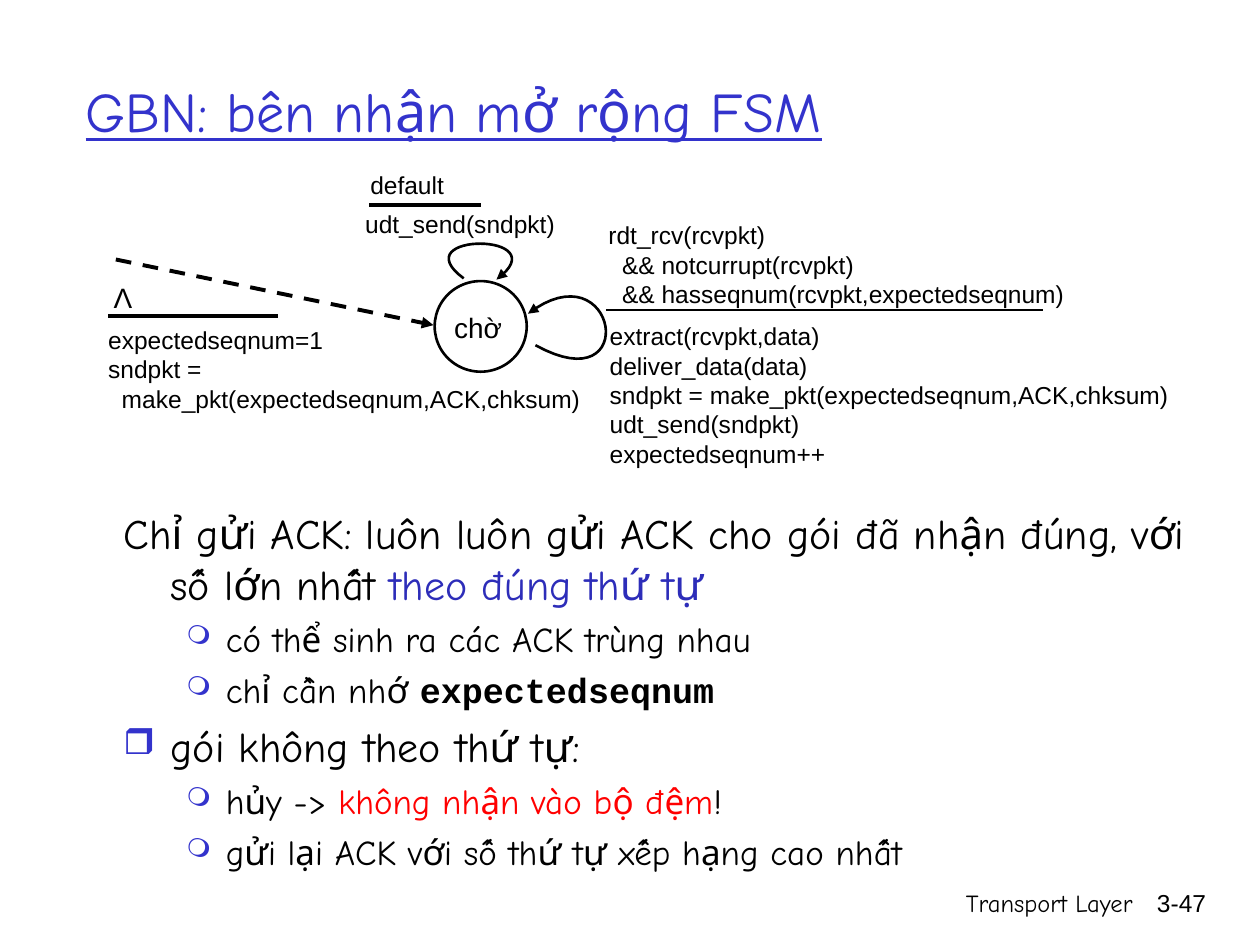
from dataclasses import dataclass

from lxml import etree
from pptx import Presentation
from pptx.dml.color import RGBColor
from pptx.enum.dml import MSO_LINE
from pptx.enum.shapes import MSO_CONNECTOR, MSO_SHAPE
from pptx.enum.text import MSO_ANCHOR, PP_ALIGN
from pptx.oxml.ns import qn
from pptx.util import Pt

LEFT, CENTER, RIGHT = PP_ALIGN.LEFT, PP_ALIGN.CENTER, PP_ALIGN.RIGHT
TOP, MIDDLE = MSO_ANCHOR.TOP, MSO_ANCHOR.MIDDLE
DASH = MSO_LINE.DASH
STRAIGHT = MSO_CONNECTOR.STRAIGHT
OVAL = MSO_SHAPE.OVAL

BLACK, WHITE, BLUE, DARK_BLUE, RED = "000000", "FFFFFF", "3333CC", "2D2DB9", "FF0000"
HAND, SANS, MONO = "Comic Neue", "Arial", "Courier New"
CURVE_STEPS = 32

Point = tuple[float, float]


@dataclass(frozen=True)
class Run:
    text: str
    size: float = 14
    font: str = SANS
    color: str = BLACK
    bold: bool = False
    underline: bool = False


@dataclass(frozen=True)
class Level:
    margin: float
    indent: float
    space_before: float
    bullet: str = ""
    bullet_percent: int = 100


@dataclass(frozen=True)
class Line:
    runs: tuple[Run, ...]
    level: Level | None = None


@dataclass(frozen=True)
class TextBlock:
    left: float
    top: float
    width: float
    height: float
    lines: tuple[Line, ...]
    align: PP_ALIGN = LEFT
    anchor: MSO_ANCHOR = TOP
    wrap: bool = True


@dataclass(frozen=True)
class Rule:
    start: Point
    end: Point
    width: float = 2.25
    dashed_arrow: bool = False


def labels(*texts: str, size: float = 14, font: str = SANS) -> tuple[Line, ...]:
    """One plain line per text."""
    return tuple(Line((Run(text, size, font),)) for text in texts)


def point_line(*runs: Run) -> Line:
    return Line(runs, POINT)


def hand(text: str, size: float, color: str = BLACK) -> Run:
    return Run(text, size, HAND, color)


INTRO = Level(27, -27, 0)
MAIN = Level(27, -27, 6, "❒", 85)
POINT = Level(58.5, -22.5, 5, "❍", 75)

TITLE = Run("GBN: bên nhận mở rộng FSM", 32, HAND, BLUE, underline=True)

BODY = (
    Line((hand("Chỉ gửi ACK: luôn luôn gửi ACK cho gói đã nhận đúng, với số lớn nhất ", 24),
          hand("theo đúng thứ tự", 24, DARK_BLUE)), INTRO),
    point_line(hand("có thể sinh ra các ACK trùng nhau", 20)),
    point_line(hand("chỉ cần nhớ ", 20), Run("expectedseqnum", 20, MONO, bold=True)),
    Line((hand("gói không theo thứ tự:", 24),), MAIN),
    point_line(hand("hủy -> ", 20), hand("không nhận vào bộ đệm", 20, RED), hand("!", 20)),
    point_line(hand("gửi lại ACK với số thứ tự xếp hạng cao nhất", 20)),
)

PAGE_TEXTS = (
    TextBlock(426.2, 504, 228.2, 36, labels("Transport Layer", font=HAND), RIGHT),
    TextBlock(643, 504, 53.3, 36, labels("3-47"), RIGHT),
    TextBlock(41.8, 18, 612, 90, (Line((TITLE,)),), anchor=MIDDLE),
    TextBlock(63.4, 286.6, 641.5, 224.6, BODY),
)

DIAGRAM_TEXTS = (
    TextBlock(241.9, 174.2, 62.6, 18.7, labels("chờ", size=16), CENTER),
    TextBlock(201.6, 115.9, 127.4, 24.5, labels("udt_send(sndpkt)")),
    TextBlock(204.5, 93.6, 56.9, 19.4, labels("default")),
    TextBlock(340.6, 122.4, 280.8, 44.6, labels(
        "rdt_rcv(rcvpkt)",
        "  && notcurrupt(rcvpkt)",
        "  && hasseqnum(rcvpkt,expectedseqnum)")),
    TextBlock(341.3, 180, 339.8, 67.7, labels(
        "extract(rcvpkt,data)",
        "deliver_data(data)",
        "sndpkt = make_pkt(expectedseqnum,ACK,chksum)",
        "udt_send(sndpkt)",
        "expectedseqnum++")),
    TextBlock(54.7, 182.2, 286.6, 77, labels(
        "expectedseqnum=1",
        "sndpkt =",
        "  make_pkt(expectedseqnum,ACK,chksum)")),
    TextBlock(57.6, 157, 25.2, 26.6, labels("Λ", size=16), CENTER, wrap=False),
)

RULES = (
    Rule((66.2, 148.3), (247.7, 185.8), dashed_arrow=True),
    Rule((211, 117.4), (275, 117.4)),
    Rule((346.3, 177.1), (596.2, 177.1), 1.5),
    Rule((61.9, 180.7), (159.1, 180.7)),
)

# Start, two control points and end of each loop on the waiting state
LOOPS = (
    ((306, 197.3), (367.2, 231.1), (352.8, 140.4), (301.7, 179.3)),
    ((265, 159.1), (229, 132.5), (320.4, 132.5), (283.7, 159.8)),
)


def rgb(color: str) -> RGBColor:
    return RGBColor.from_string(color)


def set_bullet(paragraph, level: Level) -> None:
    properties = paragraph._p.get_or_add_pPr()
    properties.set("marL", str(Pt(level.margin)))
    properties.set("indent", str(Pt(level.indent)))
    if not level.bullet:
        etree.SubElement(properties, qn("a:buNone"))
        return
    bullet_color = etree.SubElement(properties, qn("a:buClr"))
    etree.SubElement(bullet_color, qn("a:srgbClr"), val=BLUE)
    etree.SubElement(properties, qn("a:buSzPct"), val=str(level.bullet_percent * 1000))
    etree.SubElement(properties, qn("a:buChar"), char=level.bullet)


def add_text(slide, block: TextBlock) -> None:
    shape = slide.shapes.add_textbox(
        Pt(block.left), Pt(block.top), Pt(block.width), Pt(block.height))
    frame = shape.text_frame
    frame.word_wrap = block.wrap
    frame.vertical_anchor = block.anchor
    for index, line in enumerate(block.lines):
        paragraph = frame.add_paragraph() if index else frame.paragraphs[0]
        paragraph.alignment = block.align
        if line.level:
            set_bullet(paragraph, line.level)
            if index:
                paragraph.space_before = Pt(line.level.space_before)
        for item in line.runs:
            run = paragraph.add_run()
            run.text = item.text
            run.font.size = Pt(item.size)
            run.font.name = item.font
            run.font.bold = item.bold
            run.font.underline = item.underline
            run.font.color.rgb = rgb(item.color)


def style_line(shape, width: float, arrow: bool) -> None:
    shape.line.color.rgb = rgb(BLACK)
    shape.line.width = Pt(width)
    if arrow:
        etree.SubElement(shape.line._get_or_add_ln(), qn("a:tailEnd"), type="triangle")


def add_rule(slide, rule: Rule) -> None:
    connector = slide.shapes.add_connector(
        STRAIGHT, *(Pt(value) for value in rule.start + rule.end))
    if rule.dashed_arrow:
        connector.line.dash_style = DASH
    style_line(connector, rule.width, rule.dashed_arrow)
    etree.SubElement(connector._element.spPr, qn("a:effectLst"))


def curve_point(curve: tuple[Point, ...], t: float) -> Point:
    """Point of a cubic Bézier curve, in EMU."""
    weights = ((1 - t) ** 3, 3 * t * (1 - t) ** 2, 3 * t ** 2 * (1 - t), t ** 3)
    x, y = (sum(w * p[axis] for w, p in zip(weights, curve)) for axis in (0, 1))
    return Pt(x), Pt(y)


def add_loop(slide, curve: tuple[Point, ...]) -> None:
    points = [curve_point(curve, step / CURVE_STEPS) for step in range(CURVE_STEPS + 1)]
    builder = slide.shapes.build_freeform(*points[0])
    builder.add_line_segments(points[1:], close=False)
    shape = builder.convert_to_shape()
    shape.shadow.inherit = False
    shape.fill.background()
    style_line(shape, 1.5, arrow=True)


def add_state(slide) -> None:
    shape = slide.shapes.add_shape(OVAL, Pt(248.4), Pt(160.6), Pt(52.6), Pt(51.8))
    shape.shadow.inherit = False
    shape.fill.solid()
    shape.fill.fore_color.rgb = rgb(WHITE)
    style_line(shape, 1.5, arrow=False)


def main() -> None:
    presentation = Presentation()
    presentation.slide_width, presentation.slide_height = Pt(720), Pt(540)
    slide = presentation.slides.add_slide(presentation.slide_layouts[6])
    for block in PAGE_TEXTS:
        add_text(slide, block)
    add_state(slide)
    for rule in RULES:
        add_rule(slide, rule)
    for curve in LOOPS:
        add_loop(slide, curve)
    for block in DIAGRAM_TEXTS:
        add_text(slide, block)
    presentation.save("out.pptx")


if __name__ == "__main__":
    main()
